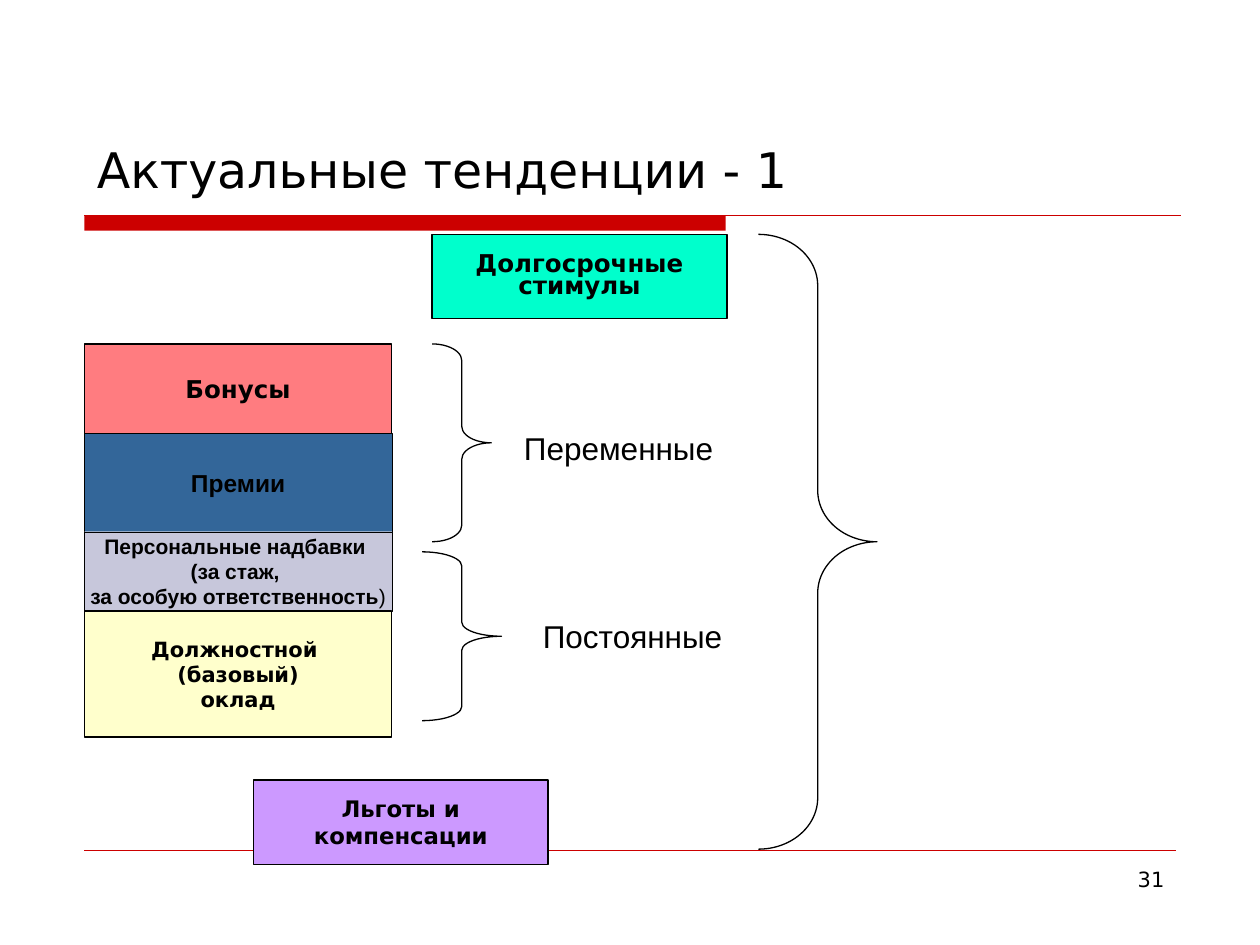
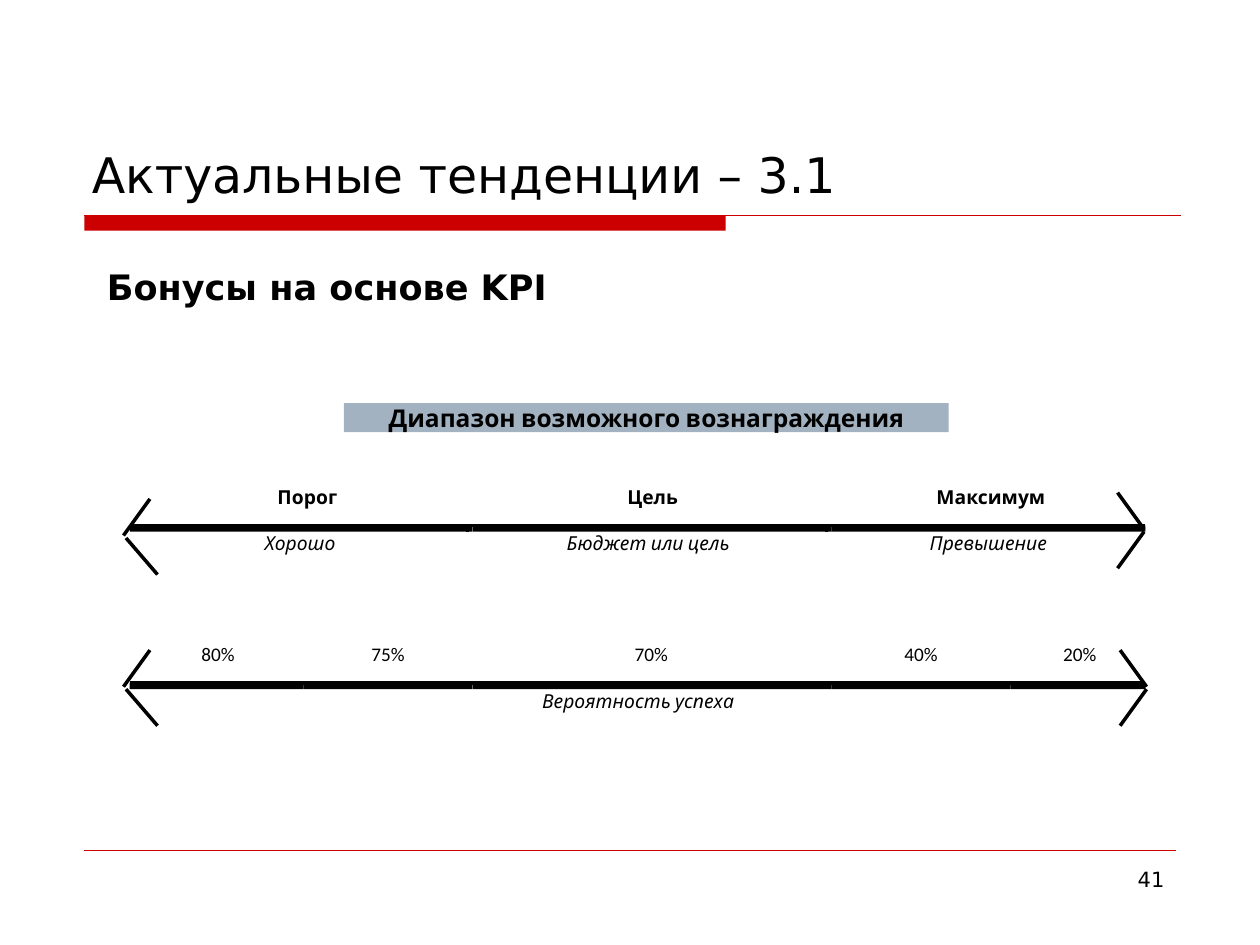
from pptx import Presentation
from pptx.dml.color import RGBColor
from pptx.enum.shapes import MSO_CONNECTOR, MSO_SHAPE
from pptx.enum.text import MSO_ANCHOR, PP_ALIGN
from pptx.oxml.ns import qn
from pptx.util import Inches, Pt

RECT, BRACE = MSO_SHAPE.RECTANGLE, MSO_SHAPE.RIGHT_BRACE
STRAIGHT = MSO_CONNECTOR.STRAIGHT
LEFT, CENTER, RIGHT = PP_ALIGN.LEFT, PP_ALIGN.CENTER, PP_ALIGN.RIGHT
TOP, MIDDLE, BOTTOM = MSO_ANCHOR.TOP, MSO_ANCHOR.MIDDLE, MSO_ANCHOR.BOTTOM

# Shared look
BLACK, RED = "000000", "CC0000"
MAIN, SANS, LABEL, NUMBER = "DejaVu Sans", "Arial", "Cabin", "Calibri"
MARGIN, HAIRLINE = 0.67, 0

# Content of the pay structure slide; a pair is a bold run and a plain run
PAY_LEFT, PAY_TOP, PAY_WIDTH = MARGIN, 2.73, 2.44
PAY_PARTS = [  # lines, height, fill, border, font, size
    (["Бонусы"], 0.71, "FF7C80", 0.75, MAIN, 14),
    (["Премии"], 0.78, "336699", 0.11, SANS, 14),
    (["Персональные надбавки ", "(за стаж, ",
      ("за особую ответственность", ")")], 0.63, "C7C7DB", 0.11, SANS, 12),
    (["Должностной ", "(базовый)", "оклад"], 1, "FFFFCC", 0.75, MAIN, 12),
]
EXTRA_SIZE = (2.34, 0.67)
EXTRAS = [  # lines, left, top, fill, size, line spacing
    (["Долгосрочные", "стимулы"], 3.43, 1.86, "00FFCC", 14, 0.75),
    (["Льготы и", "компенсации"], 2.01, 6.19, "CC99FF", 13, None),
]
BRACES = [(3.43, 2.73, 0.47, 1.57), (3.35, 4.38, 0.63, 1.34),
          (6.02, 1.86, 0.94, 4.88)]
PAY_KINDS = [("Переменные", 4.06, 3.36, 1.89), ("Постоянные", 4.21, 4.85, 1.65)]

# Content of the bonus slide
AXIS_START, AXIS_END, BAR, TICK = 1.03, 9.09, 0.05, 0.04
AXES = [  # top, tick places, left tip, right tip
    (4.17, [3.71, 6.56], (0.98, 4.25), (9.08, 4.2)),
    (5.42, [2.37, 3.71, 6.56, 7.98], (0.98, 5.45), (9.1, 5.45)),
]
LABEL_SLACK = 0.1  # room on each side, so that no label breaks
AXIS_LABELS = [  # top, style, (text, left, width)
    (3.85, dict(font=LABEL, bold=True),
     [("Порог", 2.2, 0.48), ("Цель", 4.98, 0.4), ("Максимум", 7.43, 0.87)]),
    (4.22, dict(font=LABEL, italic=True),
     [("Хорошо ", 2.1, 0.6), ("Бюджет или цель", 4.49, 1.31),
      ("Превышение", 7.38, 0.93)]),
    (5.1, dict(font=NUMBER),
     [("80%", 1.58, 0.3), ("75%", 2.93, 0.3), ("70%", 5.02, 0.3),
      ("40%", 7.16, 0.3), ("20%", 8.42, 0.3)]),
    (5.47, dict(font=LABEL, italic=True), [("Вероятность успеха", 4.3, 1.53)]),
]


def color(hex_value):
    return RGBColor.from_string(hex_value)


def write(shape, lines, size, font=MAIN, bold=False, italic=False, align=LEFT,
          anchor=TOP, inset=(0.1, 0.05), wrap=True, spacing=None):
    frame = shape.text_frame
    across, down = map(Inches, inset)
    settings = dict(word_wrap=wrap, vertical_anchor=anchor, margin_left=across,
                    margin_right=across, margin_top=down, margin_bottom=down)
    for key, value in settings.items():
        setattr(frame, key, value)
    for number, line in enumerate(lines):
        paragraph = frame.add_paragraph() if number else frame.paragraphs[0]
        paragraph.alignment, paragraph.line_spacing = align, spacing
        pieces = (line,) if isinstance(line, str) else line
        for position, piece in enumerate(pieces):
            run = paragraph.add_run()
            run.text = piece
            style = dict(name=font, size=Pt(size), italic=italic,
                         bold=bold and position == 0)
            for key, value in style.items():
                setattr(run.font, key, value)
            run.font.color.rgb = color(BLACK)


def text(slide, box, lines, size, **style):
    write(slide.shapes.add_textbox(*map(Inches, box)), lines, size, **style)


def block(slide, box, fill=None, border=None, kind=RECT):
    shape = slide.shapes.add_shape(kind, *map(Inches, box))
    shape.shadow.inherit = False
    if fill:
        shape.fill.solid()
        shape.fill.fore_color.rgb = color(fill)
    else:
        shape.fill.background()
    if border is None:
        shape.line.fill.background()
    else:
        shape.line.color.rgb = color(BLACK)
        shape.line.width = Pt(border)
    return shape


def stroke(slide, start, end, width, tint=BLACK):
    line = slide.shapes.add_connector(STRAIGHT, *map(Inches, (*start, *end)))
    line.line.color.rgb = color(tint)
    line.line.width = Pt(width)
    properties = line._element.spPr
    properties.append(properties.makeelement(qn("a:effectLst"), {}))


def new_slide(deck, title, title_box, page):
    slide = deck.slides.add_slide(deck.slide_layouts[6])
    block(slide, (MARGIN, 1.71, 5.09, 0.12), RED)
    stroke(slide, (MARGIN, 1.71), (9.37, 1.71), 1, RED)
    stroke(slide, (MARGIN, 6.75), (9.33, 6.75), 0.25, RED)
    text(slide, (7.17, 6.83, 2.17, 0.52), [page], 12, align=RIGHT)
    text(slide, title_box, [title], 28, anchor=BOTTOM)
    return slide


def pay_slide(deck):
    slide = new_slide(deck, "Актуальные тенденции - 1",
                      (MARGIN, 0.68, 8.71, 0.94), "31")
    boxed = dict(bold=True, align=CENTER, anchor=MIDDLE, wrap=False)
    # Stack of pay parts
    top = PAY_TOP
    for lines, height, fill, border, font, size in PAY_PARTS:
        part = block(slide, (PAY_LEFT, top, PAY_WIDTH, height), fill, border)
        write(part, lines, size, font=font, **boxed)
        top += height
    # Parts outside the stack
    for lines, left, top, fill, size, spacing in EXTRAS:
        extra = block(slide, (left, top, *EXTRA_SIZE), fill, 0.75)
        write(extra, lines, size, spacing=spacing, **boxed)
    # Braces curl over a twelfth of their height
    for box in BRACES:
        brace = block(slide, box, border=0.75, kind=BRACE)
        brace.adjustments[0] = box[3] / 12 / box[2]
    for kind, left, top, width in PAY_KINDS:
        text(slide, (left, top, width, 0.4), [kind], 18, font=SANS)


def arrowhead(slide, tip, upper_run, lower_run, lower_shift):
    x, y = tip
    rise, gap = 0.29, 0.02
    stroke(slide, tip, (x + upper_run, y - rise), 2)
    lower = (x + lower_shift, y + gap)
    stroke(slide, lower, (lower[0] + lower_run, lower[1] + rise), 2)


def bonus_slide(deck):
    slide = new_slide(deck, "Актуальные тенденции – 3.1",
                      (0.63, 0.33, 8.75, 1.33), "41")
    text(slide, (0.75, 2.06, 8.62, 0.5), ["Бонусы на основе KPI"], 20, bold=True)
    flush = dict(align=CENTER, inset=(0, 0))
    heading = block(slide, (2.73, 3.2, 4.8, 0.23), "A3B2C1")
    write(heading, ["Диапазон возможного вознаграждения"], 14, font=LABEL,
          bold=True, **flush)
    for top, style, labels in AXIS_LABELS:
        for label, left, width in labels:
            box = (left - LABEL_SLACK, top, width + 2 * LABEL_SLACK, 0.18)
            text(slide, box, [label], 11, wrap=False, **style, **flush)
    # Axes: bars between the ticks, then the heads
    for top, ticks, left_tip, right_tip in AXES:
        starts = [AXIS_START] + [tick + TICK for tick in ticks]
        for start, end in zip(starts, ticks + [AXIS_END]):
            block(slide, (start, top, end - start, BAR), BLACK)
        for tick in ticks:
            block(slide, (tick, top, TICK, BAR), BLACK)
            stroke(slide, (tick, top), (tick, top + BAR), HAIRLINE)
        stroke(slide, (AXIS_START, top), (AXIS_END, top), HAIRLINE)
        arrowhead(slide, left_tip, 0.21, 0.25, 0.02)
        arrowhead(slide, right_tip, -0.21, -0.21, 0)


def main():
    deck = Presentation()
    deck.slide_width, deck.slide_height = Inches(10), Inches(7.5)
    pay_slide(deck)
    bonus_slide(deck)
    deck.save("out.pptx")


if __name__ == "__main__":
    main()
